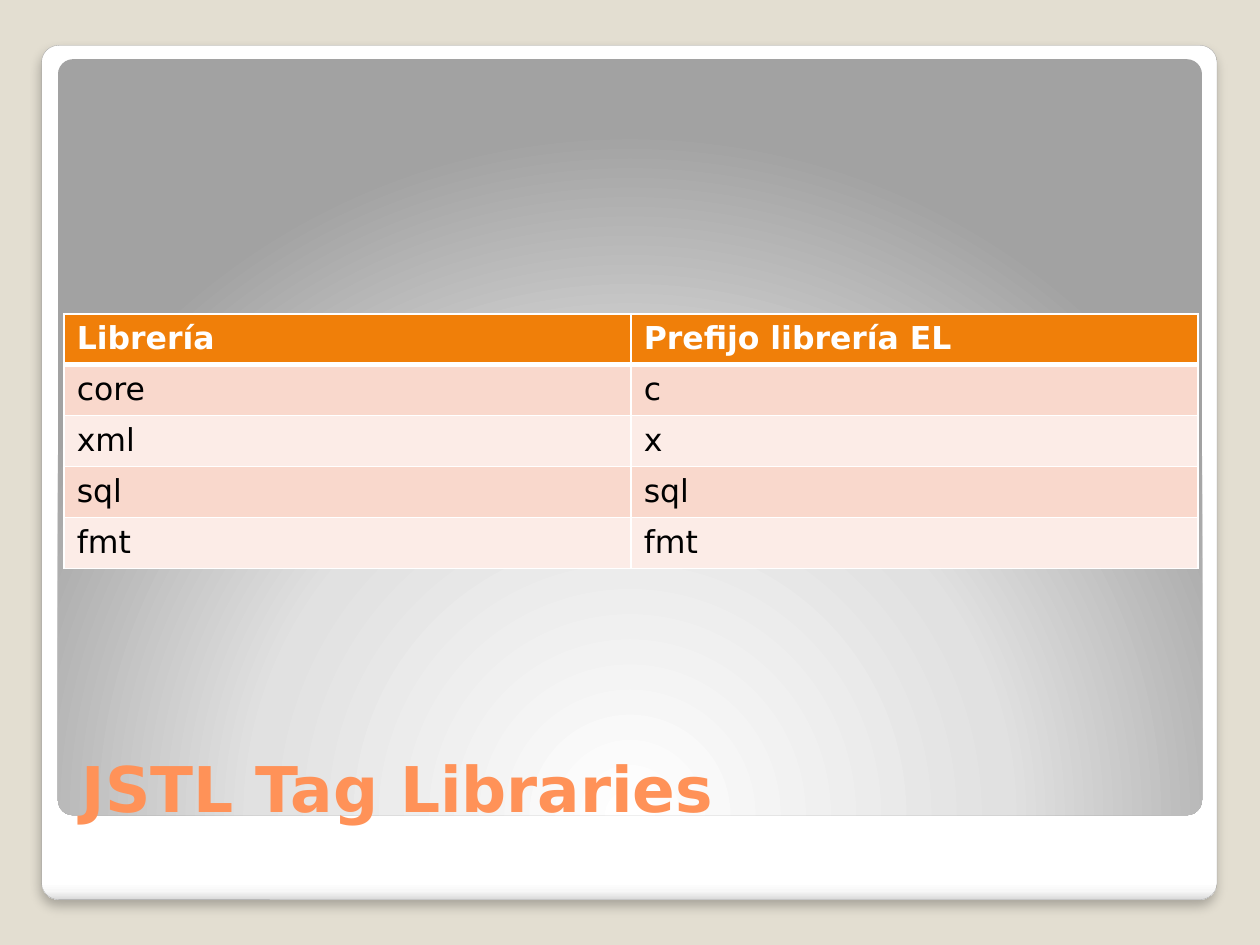
from dataclasses import dataclass

from lxml import etree
from pptx import Presentation
from pptx import util as u
from pptx.dml.color import RGBColor
from pptx.enum import shapes, text
from pptx.oxml import ns


@dataclass(frozen=True)
class Theme:
    font: str = "DejaVu Sans"
    title_size: int = 36
    table_size: int = 18
    background: str = "E3DED1"
    outline: str = "A4A4A4"
    shadow: str = "000000"
    title: str = "FF9258"
    header: str = "F07F09"
    bands: tuple = ("F9D8CC", "FCECE7")
    white: str = "FFFFFF"
    black: str = "000000"
    frame_stops: tuple = ((0, "FFFFFF"), (98, "FFFFFF"), (99, "F7F7F7"), (100, "DADADA"))
    panel_stops: tuple = ((0, "FFFFFF"), (55, "E1E1E1"), (100, "A2A2A2"))


THEME = Theme()
ROWS = [
    ("Librería", "Prefijo librería EL"),
    ("core", "c"),
    ("xml", "x"),
    ("sql", "sql"),
    ("fmt", "fmt"),
]


def rgb(value):
    return RGBColor.from_string(value)


def add_xml(parent, tag, **attrs):
    values = {name: str(value) for name, value in attrs.items()}
    return etree.SubElement(parent, ns.qn(tag), values)


def write(tf, content, *, size, color, bold=False):
    p = tf.paragraphs[0]
    p.alignment = text.PP_ALIGN.LEFT
    r = p.add_run()
    r.text = content
    r.font.name = THEME.font
    r.font.size = u.Pt(size)
    r.font.bold = bold
    r.font.color.rgb = rgb(color)


def set_gradient(sp, stops, focus=None):
    """Fill from top to bottom, or in circles around a focus rectangle."""
    sp.fill.gradient()
    grad = sp._element.spPr.find(ns.qn("a:gradFill"))
    for child in list(grad):
        grad.remove(child)
    gs_list = add_xml(grad, "a:gsLst")
    for position, color in stops:
        add_xml(add_xml(gs_list, "a:gs", pos=position * 1000), "a:srgbClr", val=color)
    if focus:
        circle = add_xml(grad, "a:path", path="circle")
        add_xml(circle, "a:fillToRect", **{side: v * 1000 for side, v in focus.items()})
    else:
        add_xml(grad, "a:lin", ang=90 * 60000, scaled=0)


def add_panel(s, left, top, width, height, stops, focus=None):
    sp = s.shapes.add_shape(shapes.MSO_SHAPE.ROUNDED_RECTANGLE, u.Inches(left),
                            u.Inches(top), u.Inches(width), u.Inches(height))
    sp.adjustments[0] = 0.02
    sp.shadow.inherit = False
    sp.line.fill.background()
    set_gradient(sp, stops, focus)
    return sp


def add_shadow(sp):
    effects = sp._element.spPr.find(ns.qn("a:effectLst"))
    shadow = add_xml(effects, "a:outerShdw", blurRad=u.Pt(6), dist=u.Pt(4),
                     dir=90 * 60000, algn="t", rotWithShape=0)
    add_xml(add_xml(shadow, "a:srgbClr", val=THEME.shadow), "a:alpha", val=25000)


def place_title(s, content):
    sp = s.shapes.title
    s.shapes._spTree.append(sp._element)  # in front of the panels
    sp.left, sp.top = u.Inches(0.55), u.Inches(5.45)
    sp.width, sp.height = u.Inches(8.95), u.Inches(1.15)
    sp.text_frame.vertical_anchor = text.MSO_ANCHOR.BOTTOM
    write(sp.text_frame, content, size=THEME.title_size, color=THEME.title, bold=True)


def set_borders(cell, **widths):
    tc_pr = cell._tc.get_or_add_tcPr()
    for index, side in enumerate("LRTB"):
        line = etree.Element(ns.qn(f"a:ln{side}"), w=str(u.Pt(widths.get(side, 1))))
        add_xml(add_xml(line, "a:solidFill"), "a:srgbClr", val=THEME.white)
        tc_pr.insert(index, line)


def add_library_table(s, rows):
    row_height = u.Inches(0.405)
    table = s.shapes.add_table(len(rows), len(rows[0]), u.Inches(0.51), u.Inches(2.49),
                               u.Inches(9), row_height * len(rows)).table
    for i, row in enumerate(rows):
        table.rows[i].height = row_height
        header = i == 0
        fill = THEME.header if header else THEME.bands[(i - 1) % 2]
        for j, content in enumerate(row):
            cell = table.cell(i, j)
            cell.fill.solid()
            cell.fill.fore_color.rgb = rgb(fill)
            set_borders(cell, T=3 if i == 1 else 1, B=3 if header else 1)
            write(cell.text_frame, content, size=THEME.table_size, bold=header,
                  color=THEME.white if header else THEME.black)


def main():
    prs = Presentation()
    prs.slide_width, prs.slide_height = u.Inches(10), u.Inches(7.5)
    s = prs.slides.add_slide(prs.slide_layouts.get_by_name("Title Only"))
    s.background.fill.solid()
    s.background.fill.fore_color.rgb = rgb(THEME.background)

    frame = add_panel(s, 0.33, 0.36, 9.33, 6.78, THEME.frame_stops)
    frame.line.color.rgb = rgb(THEME.outline)
    frame.line.width = u.Pt(0.16)
    add_shadow(frame)
    add_panel(s, 0.46, 0.47, 9.08, 6, THEME.panel_stops,
              focus={"l": 50, "t": 175, "r": 50, "b": -75})

    place_title(s, "JSTL Tag Libraries")
    add_library_table(s, ROWS)
    prs.save("out.pptx")


if __name__ == "__main__":
    main()
